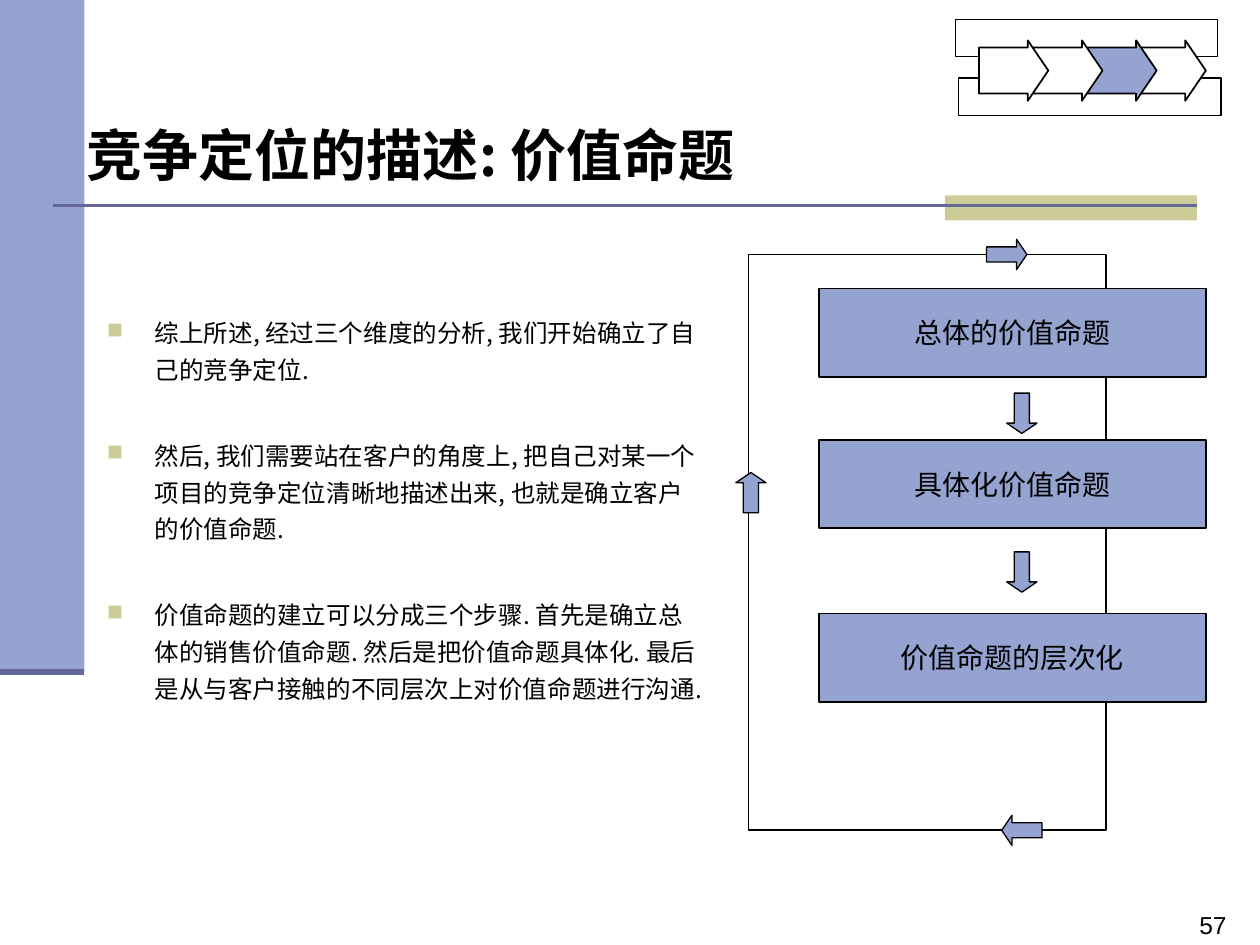
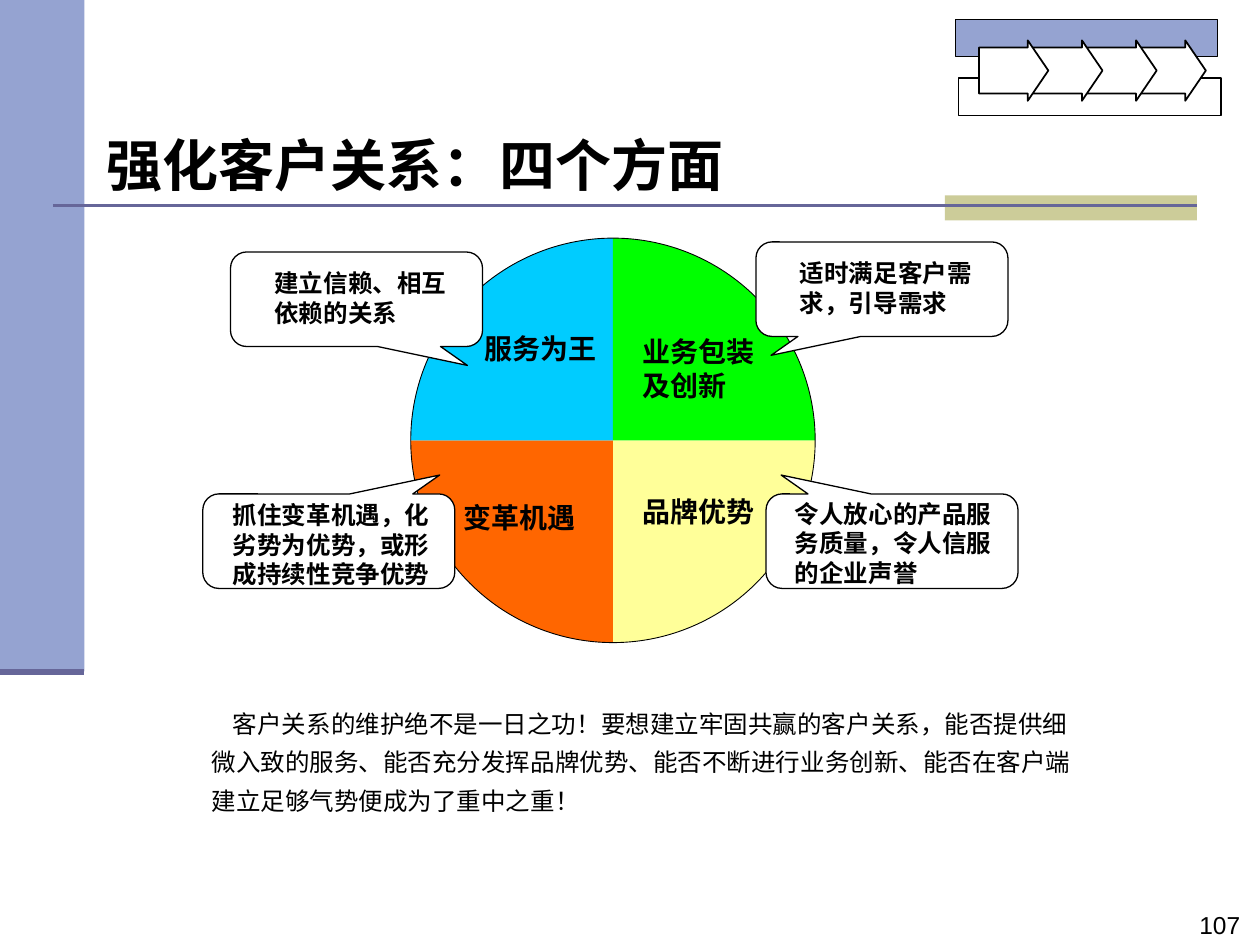
import pptx
import pptx.dml.color
import pptx.enum.shapes
import pptx.enum.text
import pptx.oxml.ns
import pptx.util
from lxml import etree

SHAPE = pptx.enum.shapes.MSO_SHAPE
ALIGN = pptx.enum.text.PP_ALIGN
ANCHOR = pptx.enum.text.MSO_ANCHOR
Pt = pptx.util.Pt
qn = pptx.oxml.ns.qn

# Slide size in inches, and the grid that all positions use
WIDTH, HEIGHT = 10, 7.5
COLS, ROWS = 100, 75

BLUE, SAND, PURPLE = "95A3D1", "CCCC99", "666699"
BLACK, WHITE = "000000", "FFFFFF"
CJK = "Noto Sans CJK SC"


def rgb(color):
    return pptx.dml.color.RGBColor.from_string(color)


def grid(col, row, cols, rows):
    """Turn columns and rows into lengths on the slide."""
    dx, dy = WIDTH / COLS, HEIGHT / ROWS
    return [pptx.util.Inches(v) for v in (col * dx, row * dy, cols * dx, rows * dy)]


class Deck:
    def __init__(self):
        self.prs = pptx.Presentation()
        self.prs.slide_width = pptx.util.Inches(WIDTH)
        self.prs.slide_height = pptx.util.Inches(HEIGHT)
        self.s = None

    def shape(self, kind, at, fill=None, line=None, adj=()):
        """Preset shape; line is its width in points."""
        sp = self.s.shapes.add_shape(kind, *grid(*at))
        sp.shadow.inherit = False
        for i, value in enumerate(adj):
            sp.adjustments[i] = value
        if fill:
            sp.fill.solid()
            sp.fill.fore_color.rgb = rgb(fill)
        else:
            sp.fill.background()
        if line:
            sp.line.color.rgb = rgb(BLACK)
            sp.line.width = Pt(line)
        else:
            sp.line.fill.background()
        return sp

    def rule(self, col, row, cols, weight):
        """Horizontal line."""
        x, y, w, _ = grid(col, row, cols, 0)
        kind = pptx.enum.shapes.MSO_CONNECTOR.STRAIGHT
        line = self.s.shapes.add_connector(kind, x, y, x + w, y)
        line.line.color.rgb = rgb(PURPLE)
        line.line.width = Pt(weight)
        etree.SubElement(line._element.spPr, qn("a:effectLst"))

    def font(self, p, size, name, bold=False):
        p.font.size = Pt(size)
        p.font.bold = bold
        p.font.color.rgb = rgb(BLACK)
        p.font.name = name
        latin = p.font._element.find(qn("a:latin"))
        ea = etree.Element(qn("a:ea"), typeface=CJK)
        latin.addnext(ea)

    def text(self, text, at, size, name=CJK, bold=False):
        """Text box with one paragraph; returns the text frame."""
        tf = self.s.shapes.add_textbox(*grid(*at)).text_frame
        tf.word_wrap = True
        p = tf.paragraphs[0]
        p.text = text
        self.font(p, size, name, bold)
        return tf

    def box(self, text, at):
        """Filled box with a centred label."""
        tf = self.shape(SHAPE.RECTANGLE, at, BLUE, 1).text_frame
        tf.word_wrap = False
        tf.vertical_anchor = ANCHOR.MIDDLE
        p = tf.paragraphs[0]
        p.text = text
        p.alignment = ALIGN.CENTER
        self.font(p, 16, "Times New Roman")

    def bullets(self, items, at, size, gap):
        tf = self.s.shapes.add_textbox(*grid(*at)).text_frame
        tf.word_wrap = True
        hang = pptx.util.Inches(0.38)
        for i, item in enumerate(items):
            p = tf.add_paragraph() if i else tf.paragraphs[0]
            p.text = item
            p.line_spacing = 1.25
            if i:
                p.space_before = Pt(gap)
            pr = p._p.get_or_add_pPr()
            pr.set("marL", str(hang))
            pr.set("indent", str(-hang))
            color = etree.SubElement(pr, qn("a:buClr"))
            etree.SubElement(color, qn("a:srgbClr"), val=SAND)
            etree.SubElement(pr, qn("a:buSzPct"), val="90000")
            etree.SubElement(pr, qn("a:buChar"), char="■")
            self.font(p, size, CJK)

    def slide(self, title, title_at, number, active):
        """New slide with bands, title, page number and process sign."""
        self.s = self.prs.slides.add_slide(self.prs.slide_layouts[6])
        self.shape(SHAPE.RECTANGLE, (0, 0, 6.7, 53.3), BLUE)
        self.shape(SHAPE.RECTANGLE, (75, 15.5, 20, 2), SAND)
        self.rule(4.2, 16.3, 90.8, 1.5)
        self.rule(0, 53.3, 6.7, 3.5)
        self.text(str(number), (94.2, 71.7, 8.3, 3.4), 14, "Arial")
        self.text(title, title_at, 32, bold=True)
        self.process_sign(active)

    def process_sign(self, active):
        """Two bars and four overlapping arrows, the active part in blue."""
        bars = {"top": (75.85, 1.55), "bottom": (76.1, 6.2)}
        for name, (col, row) in bars.items():
            fill = BLUE if name == active else WHITE
            self.shape(SHAPE.RECTANGLE, (col, row, 20.8, 2.95), fill, 0.75)
        steps = {4: 90.2, 3: 86.3, 2: 82, 1: 77.7}
        for step, col in steps.items():
            fill = BLUE if step == active else WHITE
            self.shape(SHAPE.RIGHT_ARROW, (col, 3.2, 5.5, 4.8), fill, 1, (0.76, 0.34))


def value_slide(deck):
    deck.slide("竞争定位的描述: 价值命题", (5.9, 9.1, 72.4, 6.4), 57, active=3)
    deck.bullets(
        [
            "综上所述, 经过三个维度的分析, 我们开始确立了自己的竞争定位.",
            "然后, 我们需要站在客户的角度上, 把自己对某一个项目的竞争定位清晰地描述出来, "
            "也就是确立客户的价值命题.",
            "价值命题的建立可以分成三个步骤. 首先是确立总体的销售价值命题. "
            "然后是把价值命题具体化. 最后是从与客户接触的不同层次上对价值命题进行沟通.",
        ],
        (7.5, 24.2, 48.8, 49.6), 14, gap=28)

    # Loop behind the three steps
    left, top, cols, rows = loop = (59.4, 20.2, 28.4, 45.7)
    deck.shape(SHAPE.RECTANGLE, loop, line=1)
    steps = {"总体的价值命题": 22.9, "具体化价值命题": 34.9, "价值命题的层次化": 48.7}
    for label, row in steps.items():
        deck.box(label, (65, row, 30.7, 7))

    # Direction arrows, placed by their centres
    long, short = 3.2, 2.4
    arrows = [
        (SHAPE.DOWN_ARROW, 81.1, 32.8),
        (SHAPE.DOWN_ARROW, 81.1, 45.4),
        (SHAPE.LEFT_ARROW, 81.1, top + rows),
        (SHAPE.RIGHT_ARROW, 79.9, top),
        (SHAPE.UP_ARROW, left + 0.2, 39.1),
    ]
    for kind, col, row in arrows:
        flat = kind in (SHAPE.LEFT_ARROW, SHAPE.RIGHT_ARROW)
        w, h = (long, short) if flat else (short, long)
        deck.shape(kind, (col - w / 2, row - h / 2, w, h), BLUE, 0.75, (0.5, 0.34))


def relations_slide(deck):
    deck.slide("强化客户关系：四个方面", (7.5, 9.9, 62, 4.7), 107, active="top")

    # Circle of four quarters, clockwise from the lower right
    circle = (32.6, 18.9, 32.1, 32.1)
    degree = 0.6  # one degree in adjustment units
    for i, fill in enumerate(["FFFF99", "FF6600", "00CCFF", "00FF00"]):
        start, end = 90 * i, 90 * (i + 1) % 360
        deck.shape(SHAPE.PIE, circle, fill, adj=(start * degree, end * degree))
    deck.shape(SHAPE.OVAL, circle, line=0.5)

    labels = [
        ("服务为王", 37.5, 25.8, 11.7),
        ("业务包装及创新", 50, 26.1, 12.5),
        ("品牌优势", 50, 38.8, 11.7),
        ("变革机遇", 35.8, 39.2, 11.7),
    ]
    for label, col, row, cols in labels:
        deck.text(label, (col, row, cols, 3.7), 16, "Arial", True)

    # Callouts: corner, tail direction, then the text and its place
    callouts = [
        (18.3, 20, 1, 1, "建立信赖、相互依赖的关系", (20.8, 20.8, 16.7, 5.7)),
        (60.8, 39.2, -1, -1, "令人放心的产品服务质量，令人信服的企业声誉", (62.1, 39.1, 19.2, 8)),
        (16.1, 39.2, 1, -1, "抓住变革机遇，化劣势为优势，或形成持续性竞争优势", (17.5, 39.2, 19.2, 8)),
        (60, 19.2, -1, 1, "适时满足客户需求，引导需求", (62.5, 20, 15.8, 5.7)),
    ]
    for col, row, tail_x, tail_y, text, text_at in callouts:
        deck.shape(SHAPE.ROUNDED_RECTANGULAR_CALLOUT, (col, row, 20, 7.5), WHITE, 0.75,
                   (0.44 * tail_x, 0.7 * tail_y, 0.17))
        deck.text(text, text_at, 14, "Arial", True)

    # Closing paragraph
    tf = deck.text(
        "客户关系的维护绝不是一日之功！要想建立牢固共赢的客户关系，能否提供细微入致的服务、"
        "能否充分发挥品牌优势、能否不断进行业务创新、能否在客户端建立足够气势便成为了重中之重！",
        (15.8, 55.1, 70.8, 14.4), 14)
    p = tf.paragraphs[0]
    p.line_spacing = 1.3
    p._p.get_or_add_pPr().set("indent", str(pptx.util.Inches(0.17)))


def main():
    deck = Deck()
    value_slide(deck)
    relations_slide(deck)
    deck.prs.save("out.pptx")


if __name__ == "__main__":
    main()
